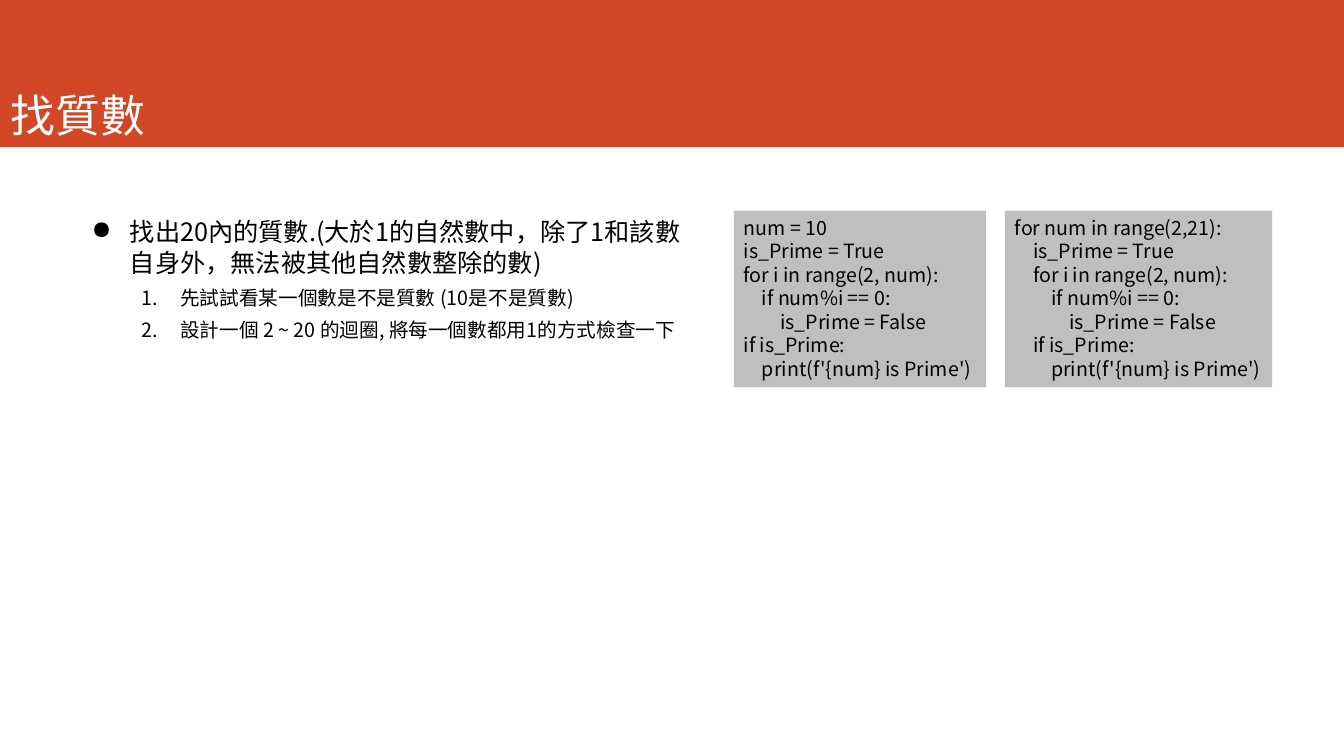
from dataclasses import dataclass

import lxml.etree
import pptx
import pptx.dml.color
import pptx.enum.shapes
import pptx.enum.text
import pptx.oxml.ns
import pptx.util

Inches = pptx.util.Inches
Pt = pptx.util.Pt
qn = pptx.oxml.ns.qn

SLIDE_WIDTH = Inches(13.33)
SLIDE_HEIGHT = Inches(7.5)
COLUMNS, ROWS = 80, 45


@dataclass(frozen=True)
class Theme:
    font: str = "Noto Sans CJK TC"
    banner: str = "D24726"
    panel: str = "BFBFBF"
    light: str = "FFFFFF"
    dark: str = "000000"
    title_size: float = 32
    body_size: float = 18
    small_size: float = 14
    body_line: float = 22.2
    small_line: float = 16.8
    gap: float = 6
    code_step: float = 0.18


@dataclass(frozen=True)
class Area:
    """A rectangle in grid columns and rows."""
    column: float
    row: float
    columns: float
    rows: float

    def lengths(self) -> tuple[int, int, int, int]:
        across, down = SLIDE_WIDTH / COLUMNS, SLIDE_HEIGHT / ROWS
        return (round(self.column * across), round(self.row * down),
                round(self.columns * across), round(self.rows * down))


@dataclass(frozen=True)
class Line:
    text: str
    size: float
    color: str
    spacing: float | None = None
    before: float = 0
    margin: float = 0
    hanging: float = 0
    bullet: tuple[str, str, str] | None = None  # element, attribute, value


@dataclass(frozen=True)
class CodePanel:
    area: Area
    lines: tuple[tuple[int, str], ...]  # indent level, code


THEME = Theme()
BANNER = Area(0, 0, COLUMNS, 8.76)
TITLE = Area(0.06, 0.78, 70.56, 7.92)
TASK = Area(4.86, 12.54, 37.68, 8.1)

GOAL = "找出20內的質數.(大於1的自然數中，除了1和該數自身外，無法被其他自然數整除的數)"
STEPS = (
    "先試試看某一個數是不是質數 (10是不是質數)",
    "設計一個 2 ~ 20 的迴圈, 將每一個數都用1的方式檢查一下",
)

PRIME_CHECK = (
    (0, "is_Prime = True"),
    (0, "for i in range(2, num):"),
    (1, "if num%i == 0:"),
    (2, "is_Prime = False"),
    (0, "if is_Prime:"),
    (1, "print(f'{num} is Prime')"),
)
PANELS = (
    CodePanel(Area(43.68, 12.54, 15, 10.5), ((0, "num = 10"), *PRIME_CHECK)),
    CodePanel(Area(59.82, 12.54, 15.9, 10.5),
              ((0, "for num in range(2,21):"),
               *((level + 1, code) for level, code in PRIME_CHECK))),
)


def add_rectangle(page, area: Area, color: str):
    shape = page.shapes.add_shape(
        pptx.enum.shapes.MSO_SHAPE.RECTANGLE, *area.lengths())
    shape.shadow.inherit = False
    shape.fill.solid()
    shape.fill.fore_color.rgb = pptx.dml.color.RGBColor.from_string(color)
    shape.line.fill.background()
    return shape


def write_line(para, line: Line) -> None:
    para.alignment = pptx.enum.text.PP_ALIGN.LEFT
    para.space_before = Pt(line.before)
    if line.spacing:
        para.line_spacing = Pt(line.spacing)
    properties = para._p.get_or_add_pPr()
    properties.set("marL", str(Inches(line.margin)))
    properties.set("indent", str(-Inches(line.hanging)))
    if line.bullet:
        element, attribute, value = line.bullet
        bullet = lxml.etree.SubElement(properties, qn(element))
        bullet.set(attribute, value)
    span = para.add_run()
    span.text = line.text
    span.font.name = THEME.font
    span.font.size = Pt(line.size)
    span.font.color.rgb = pptx.dml.color.RGBColor.from_string(line.color)
    east_asian = lxml.etree.SubElement(span._r.get_or_add_rPr(), qn("a:ea"))
    east_asian.set("typeface", THEME.font)


def write_lines(box, lines: list[Line], anchor=pptx.enum.text.MSO_ANCHOR.TOP) -> None:
    frame = box.text_frame
    frame.word_wrap = True
    frame.vertical_anchor = anchor
    for index, line in enumerate(lines):
        write_line(frame.add_paragraph() if index else frame.paragraphs[0], line)


def add_title(page) -> None:
    add_rectangle(page, BANNER, THEME.banner)
    write_lines(page.shapes.add_textbox(*TITLE.lengths()),
                [Line("找質數", THEME.title_size, THEME.light)],
                pptx.enum.text.MSO_ANCHOR.BOTTOM)


def add_task(page) -> None:
    goal = Line(GOAL, THEME.body_size, THEME.dark, THEME.body_line, THEME.gap,
                0.38, 0.38, ("a:buChar", "char", "●"))
    steps = [Line(step, THEME.small_size, THEME.dark, THEME.small_line, THEME.gap,
                  0.88, 0.38, ("a:buAutoNum", "type", "arabicPeriod"))
             for step in STEPS]
    write_lines(page.shapes.add_textbox(*TASK.lengths()), [goal, *steps])


def add_code(page, panel: CodePanel) -> None:
    write_lines(add_rectangle(page, panel.area, THEME.panel),
                [Line(code, THEME.small_size, THEME.dark, THEME.small_line,
                      margin=level * THEME.code_step)
                 for level, code in panel.lines])


def main() -> None:
    deck = pptx.Presentation()
    deck.slide_width, deck.slide_height = SLIDE_WIDTH, SLIDE_HEIGHT
    page = deck.slides.add_slide(deck.slide_layouts[6])
    add_title(page)
    add_task(page)
    for panel in PANELS:
        add_code(page, panel)
    deck.save("out.pptx")


if __name__ == "__main__":
    main()
